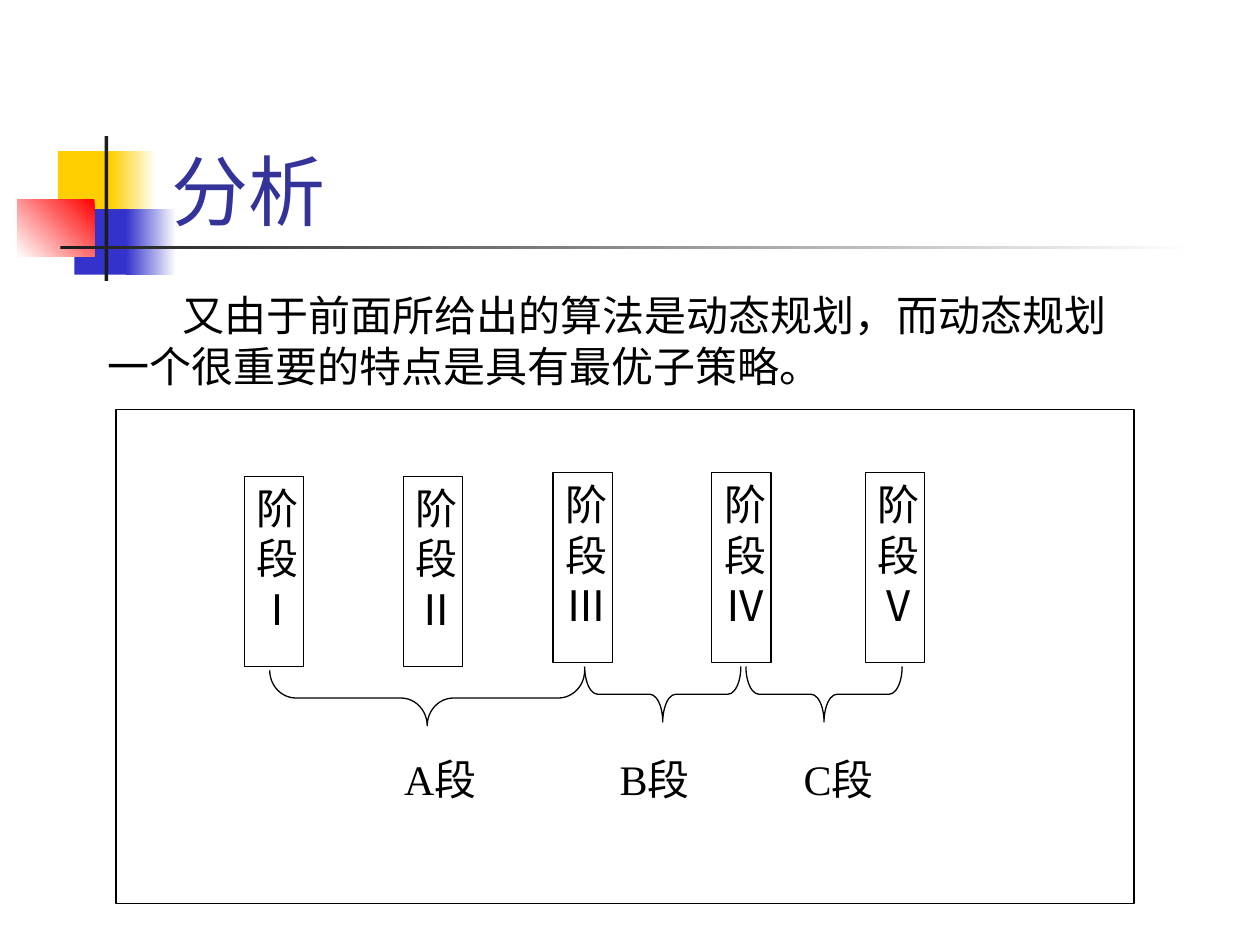
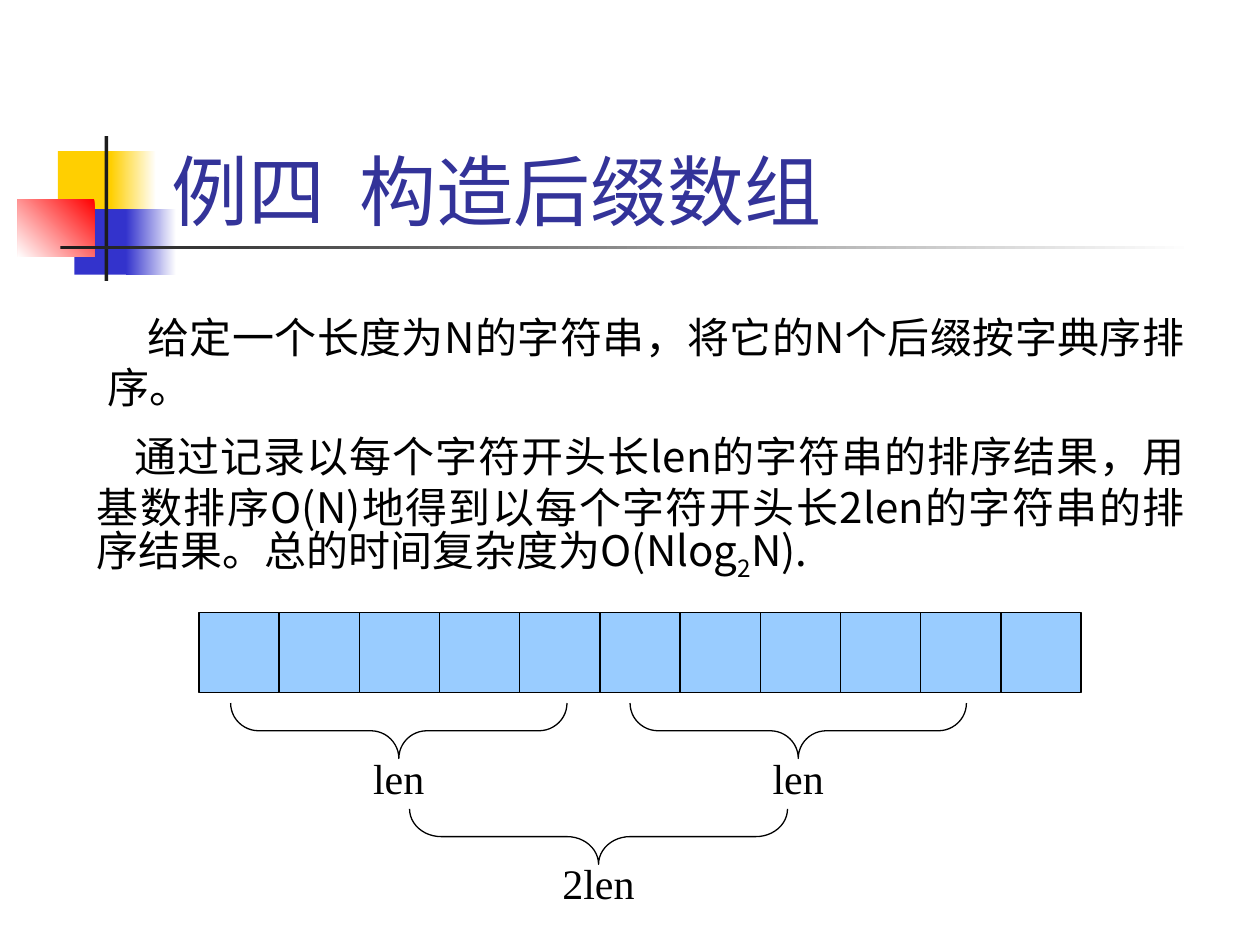
from lxml import etree
from pptx import Presentation
from pptx.dml.color import RGBColor
from pptx.enum.shapes import MSO_SHAPE as Shape
from pptx.enum.text import MSO_ANCHOR as Anchor, MSO_AUTO_SIZE as Fit, PP_ALIGN as Align
from pptx.oxml.ns import qn
from pptx.util import Inches, Pt

HUES = {
    "white": "FFFFFF", "black": "000000", "title": "333399",
    "gold": "FFCF01", "blue": "3333CC", "red": "FF0000",
    "dark": "1C1C1C", "cell": "99CCFF",
}
SERIF, SANS, HEAD = "Times New Roman", "Noto Sans CJK SC", "Cabin"
FRAME = {"word_wrap": True, "auto_size": Fit.NONE,
         "margin_left": Inches(0.1), "margin_right": Inches(0.1),
         "margin_top": Inches(0.05), "margin_bottom": Inches(0.05)}

# Left, top, width, height, colours from start to end, angle
MOTIF = [
    (0.46, 1.2, 0.48, 0.52, ["gold"], 0),
    (0.88, 1.2, 0.36, 0.52, ["gold", "white"], 0),
    (0.59, 1.66, 0.46, 0.52, ["blue"], 0),
    (1, 1.66, 0.4, 0.52, ["blue", "white"], 0),
    (0.14, 1.58, 0.61, 0.46, ["red", "white"], 225),
    (0.83, 1.08, 0.03, 1.15, ["dark"], 0),
    (0.48, 1.95, 9, 0.03, ["dark", "white"], 0),
]


def hue(name):
    return RGBColor.from_string(HUES[name])


def style(item, values):
    for key, value in values.items():
        setattr(item, key, value)


def place(item, left, top, width, height):
    style(item, {"left": Inches(left), "top": Inches(top),
                 "width": Inches(width), "height": Inches(height)})


def write(frame, parts, font=SERIF, size=24, color="black",
          align=Align.LEFT, anchor=Anchor.TOP, indent=0, pitch=None):
    """Fill a frame with one paragraph; each part is (text, baseline shift)."""
    style(frame, FRAME | {"vertical_anchor": anchor})
    para = frame.paragraphs[0]
    style(para, {"alignment": align, "space_before": Pt(0), "line_spacing": pitch})
    props = para._p.get_or_add_pPr()
    props.set("marL", "0")
    props.set("indent", str(Inches(indent)))
    etree.SubElement(props, qn("a:buNone"))
    for text, shift in parts:
        run = para.add_run()
        run.text = text
        style(run.font, {"name": font, "size": Pt(size), "bold": False})
        run.font.color.rgb = hue(color)
        mark = run._r.get_or_add_rPr()
        etree.SubElement(mark, qn("a:ea")).set("typeface", SANS)
        if shift:
            mark.set("baseline", str(shift * 1000))


def box(slide, left, top, width, height, fill="white", line="black", kind=Shape.RECTANGLE):
    item = slide.shapes.add_shape(kind, *map(Inches, (left, top, width, height)))
    item.shadow.inherit = False
    if fill:
        item.fill.solid()
        item.fill.fore_color.rgb = hue(fill)
    else:
        item.fill.background()
    if line:
        item.line.color.rgb = hue(line)
        item.line.width = Pt(0.75)
    else:
        item.line.fill.background()
    return item


def brace(slide, first, last, top, depth=0.44):
    """Draw a brace that opens upwards and points down."""
    span = last - first
    item = box(slide, (first + last - depth) / 2, top + (depth - span) / 2,
               depth, span, None, kind=Shape.RIGHT_BRACE)
    item.rotation = 90
    item.adjustments[0] = span / 12 / depth


def label(slide, text, left, top, width, height=0.5, **look):
    item = slide.shapes.add_textbox(*map(Inches, (left, top, width, height)))
    parts = [(text, 0)] if isinstance(text, str) else text
    write(item.text_frame, parts, **look)


def motif(slide, layout):
    """Draw the corner motif and move it to the shared layout."""
    for spot, (*area, tones, angle) in enumerate(MOTIF, 2):
        item = box(slide, *area, tones[0], None)
        if len(tones) > 1:
            item.fill.gradient()
            item.fill.gradient_angle = angle
            for stop, tone in zip(item.fill.gradient_stops, tones):
                stop.color.rgb = hue(tone)
        layout.shapes.element.insert(spot, item.element)


def start(deck, title, face, body, area, **look):
    slide = deck.slides.add_slide(deck.slide_layouts[1])
    head, text = slide.placeholders
    place(head, 1.26, 0.67, 8.52, 1.25)
    write(head.text_frame, [(title, 0)], face, 44, "title", anchor=Anchor.BOTTOM)
    place(text, *area)
    write(text.text_frame, [(body, 0)], pitch=Pt(28.8), **look)
    return slide


def stages(deck):
    slide = start(deck, "分析", HEAD,
                  "又由于前面所给出的算法是动态规划，而动态规划一个很重要的特点是具有最优子策略。",
                  (0.75, 2.25, 8.42, 0.9), indent=0.6)
    box(slide, 0.92, 3.25, 8.08, 3.92)
    # Stages
    spots = [(1.94, 3.78), (3.2, 3.78), (4.39, 3.75), (5.65, 3.75), (6.87, 3.75)]
    for sign, (left, top) in zip("ⅠⅡⅢⅣⅤ", spots):
        item = box(slide, left, top, 0.47, 1.51)
        write(item.text_frame, [("阶段" + sign, 0)], align=Align.JUSTIFY, pitch=Pt(28.8))
    # Segments
    for name, left, first, last, top in [("A", 3.11, 2.14, 4.64, 5.32),
                                         ("B", 4.82, 4.64, 5.88, 5.29),
                                         ("C", 6.28, 5.92, 7.16, 5.29)]:
        brace(slide, first, last, top)
        label(slide, name + "段", left, 5.93, 1, pitch=Pt(28.8))
    return slide


def suffix(deck):
    look = {"font": SANS, "align": Align.JUSTIFY}
    slide = start(deck, "例四  构造后缀数组", SERIF,
                  "给定一个长度为N的字符串，将它的N个后缀按字典序排序。",
                  (0.75, 2.42, 8.75, 0.9), indent=0.32, **look)
    label(slide, [("通过记录以每个字符开头长len的字符串的排序结果，用基数排序O(N)地得到"
                   "以每个字符开头长2len的字符串的排序结果。总的时间复杂度为O(Nlog", 0),
                  ("2", -25), ("N).", 0)],
          0.67, 3.37, 8.83, 1.36, indent=0.3, pitch=Pt(28.8), **look)
    # String cells
    side = 7 / 11
    for col in range(11):
        box(slide, 1.58 + col * side, 4.86, side, side, "cell")
    # Lengths
    for text, first, last, top in [("len", 1.83, 4.5, 5.58), ("len", 5, 7.67, 5.58),
                                   ("2len", 3.25, 6.25, 6.42)]:
        brace(slide, first, last, top)
        label(slide, text, (first + last) / 2 - 0.9, top + 0.34, 1.8, align=Align.CENTER)


def main():
    deck = Presentation()
    style(deck, {"slide_width": Inches(10), "slide_height": Inches(7.5)})
    motif(stages(deck), deck.slide_layouts[1])
    suffix(deck)
    deck.save("out.pptx")


if __name__ == "__main__":
    main()
